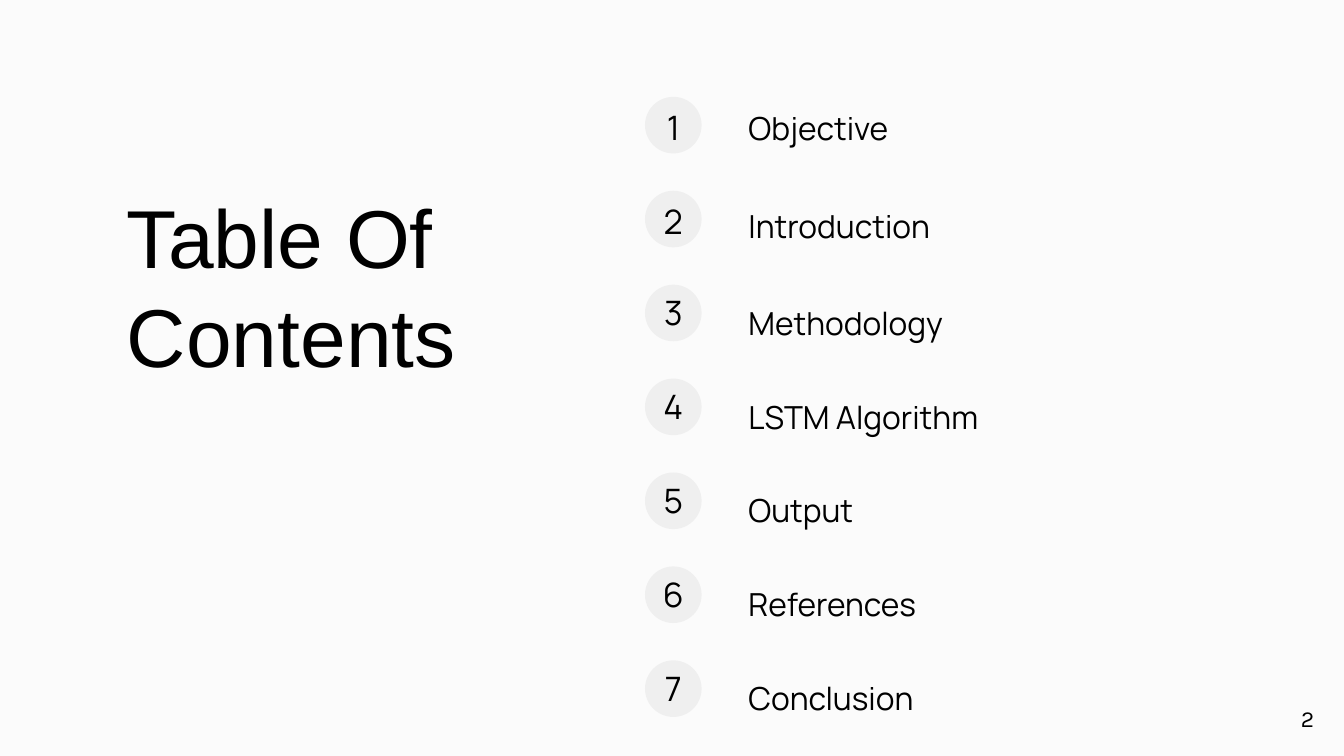
from pptx import Presentation
from pptx.dml.color import RGBColor
from pptx.enum.shapes import MSO_SHAPE as Shape
from pptx.enum.text import MSO_ANCHOR as Anchor, MSO_AUTO_SIZE as AutoSize, PP_ALIGN as Align
from pptx.util import Cm, Pt

BACKGROUND = RGBColor(0xFB, 0xFB, 0xFB)
BADGE = RGBColor(0xEF, 0xEF, 0xEF)
INK = RGBColor(0, 0, 0)

TOPICS = ["Objective", "Introduction", "Methodology", "LSTM Algorithm",
          "Output", "References", "Conclusion"]
ROW_STEP = 3.55
NUMBER_SHIFTS = [-0.08, -0.08] + [-0.18] * 5
TOPIC_SHIFTS = [-0.51, -0.35] + [-0.25] * 5


def write_text(box, text, font, size, spacing, align=Align.LEFT):
    frame = box.text_frame
    frame.margin_left = frame.margin_top = frame.margin_right = frame.margin_bottom = 0
    frame.word_wrap = True
    frame.auto_size = AutoSize.NONE
    frame.vertical_anchor = Anchor.TOP
    para = frame.paragraphs[0]
    para.alignment = align
    para.line_spacing = Pt(spacing)
    para.space_before = Pt(0)
    span = para.add_run()
    span.text = text
    span.font.name = font
    span.font.size = Pt(size)
    span.font.color.rgb = INK


def add_text(page, left, top, width, height, text, **style):
    box = page.shapes.add_textbox(Cm(left), Cm(top), Cm(width), Cm(height))
    write_text(box, text, **style)


def place_title(page, left, top, width, height):
    title = page.shapes.title
    title.left, title.top, title.width, title.height = Cm(left), Cm(top), Cm(width), Cm(height)
    write_text(title, "Table Of Contents", font="Arial", size=88, spacing=105.6)


def add_contents(page, left, top, width):
    rows = zip(TOPICS, NUMBER_SHIFTS, TOPIC_SHIFTS)
    for index, (topic, number_shift, topic_shift) in enumerate(rows):
        row_top = top + index * ROW_STEP
        badge = page.shapes.add_shape(Shape.OVAL, Cm(left), Cm(row_top), Cm(2.14), Cm(2.14))
        badge.shadow.inherit = False
        badge.fill.solid()
        badge.fill.fore_color.rgb = BADGE
        badge.line.fill.background()
        add_text(page, left + 0.31, row_top + number_shift, 1.52, 1.9, str(index + 1),
                 font="Manrope", size=36, spacing=56.5, align=Align.CENTER)
        add_text(page, left + 3.91, row_top + topic_shift, width - 3.91, 2.18, topic,
                 font="Manrope", size=34, spacing=68)


def add_page_number(page, left, top, width, height):
    add_text(page, left, top, width, height, "2",
             font="Karla", size=24.6, spacing=34.5, align=Align.CENTER)


def main():
    deck = Presentation()
    deck.slide_width, deck.slide_height = Cm(50.8), Cm(28.575)
    page = deck.slides.add_slide(deck.slide_layouts[5])
    page.background.fill.solid()
    page.background.fill.fore_color.rgb = BACKGROUND
    place_title(page, 4.8, 7.06, 17.93, 7.42)
    add_contents(page, 24.38, 3.66, 24.26)
    add_page_number(page, 49.17, 26.44, 0.48, 1.14)
    deck.save("out.pptx")


if __name__ == "__main__":
    main()
